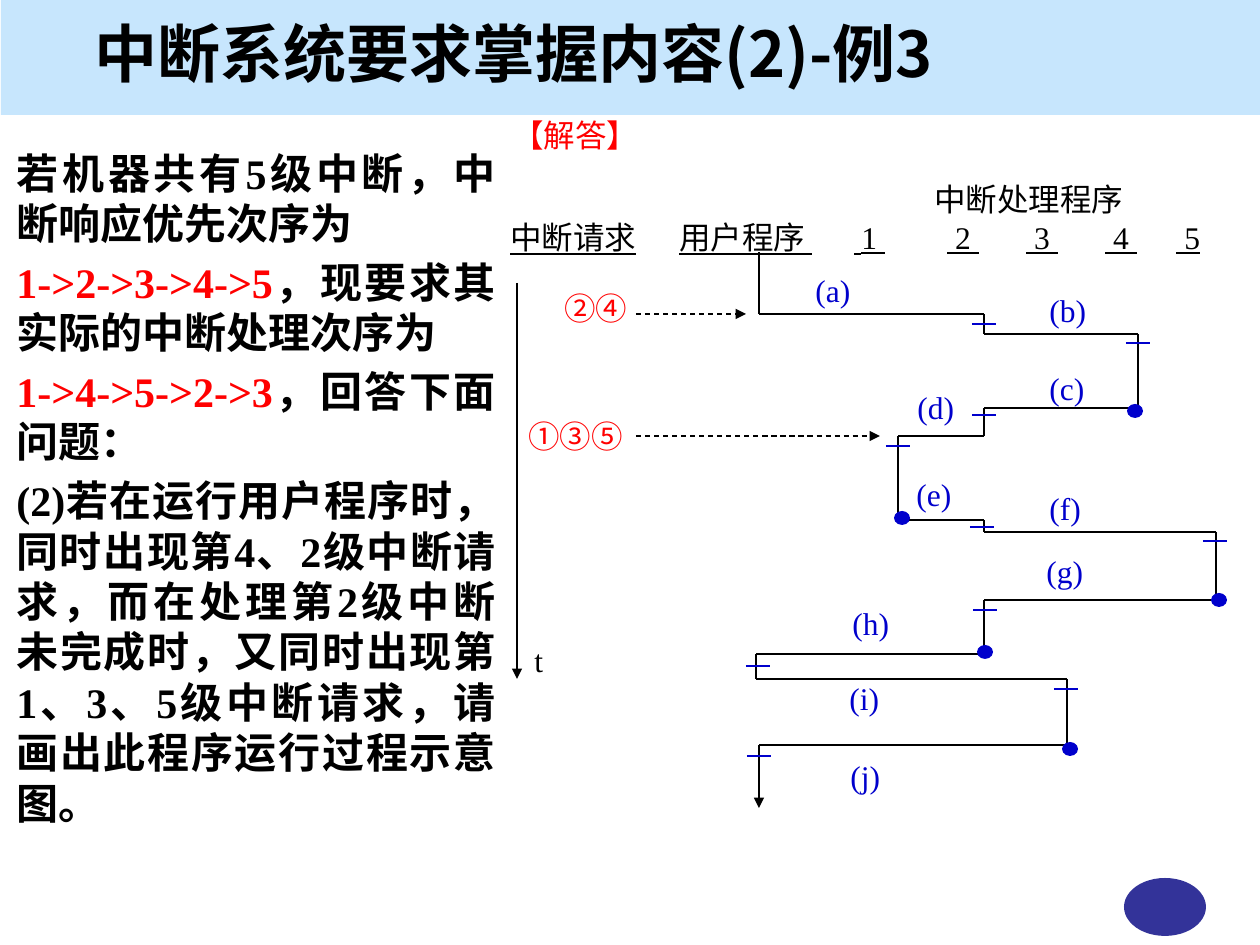
from itertools import pairwise

from lxml import etree
from pptx import Presentation
from pptx import util as u
from pptx.dml.color import RGBColor
from pptx.enum import dml, shapes, text
from pptx.oxml.ns import qn

PX = 914400 / 126
BLACK, RED, BLUE = "000000", "FF0000", "0000CC"
SERIF, SANS = "Times New Roman", "Noto Sans CJK SC"

TITLE = [[("中断系统要求掌握内容(2)-例3", BLACK)]]
QUESTION = [
    [("若机器共有5级中断，中断响应优先次序为", BLACK)],
    [("1->2->3->4->5", RED), ("，现要求其实际的中断处理次序为", BLACK)],
    [("1->4->5->2->3", RED), ("，回答下面问题：", BLACK)],
    [("(2)若在运行用户程序时，同时出现第4、2级中断请求，而在处理第2级中断未完成时，"
      "又同时出现第1、3、5级中断请求，请画出此程序运行过程示意图。", BLACK)],
]
HANDLERS = ("中断处理程序", 935)
COLUMNS = [("中断请求", 511), ("用户程序 ", 680), (" 1 ", 855), (" 2 ", 948),
           (" 3 ", 1027), (" 4 ", 1106), (" 5", 1177)]
RULE_END = 1223
LABELS = [
    ("【解答】", 500, 110, 152, RED, SERIF), ("t", 522, 635, 34, BLACK, SERIF),
    ("②④", 552, 283, 95, RED, SANS), ("①③⑤", 516, 411, 127, RED, SANS),
]
STAGES = [("(a)", 803, 265), ("(b)", 1037, 285), ("(c)", 1037, 363), ("(d)", 905, 382),
          ("(e)", 904, 469), ("(f)", 1037, 483), ("(g)", 1034, 546), ("(h)", 840, 598),
          ("(i)", 837, 673), ("(j)", 838, 751)]
TRACE = [(759, 252), (759, 314), (984, 314), (984, 334), (1138, 334), (1138, 408),
         (984, 408), (984, 436), (898, 436), (898, 520), (984, 520), (984, 532),
         (1216, 532), (1216, 600), (984, 600), (984, 654), (756, 654), (756, 679),
         (1067, 679), (1067, 745), (759, 745)]
ARROWS = [((759, 745), (759, 808), False), ((517, 283), (517, 679), False),
          ((636, 314), (746, 314), True), ((636, 436), (880, 436), True)]
TICKS = [(984, 324), (1138, 343), (984, 415), (898, 446), (982, 527), (1215, 541),
         (985, 610), (758, 666), (1066, 689), (759, 756)]
DOTS = [(1135, 411), (902, 518), (1219, 600), (985, 652), (1070, 749)]


def px(*lengths):
    return [u.Emu(round(length * PX)) for length in lengths]


def rgb(value):
    return RGBColor.from_string(value)


def assign(target, values):
    for key, value in values.items():
        setattr(target, key, value)


def add_filled(slide, kind, box, color):
    shape = slide.shapes.add_shape(kind, *px(*box))
    shape.shadow.inherit = False
    shape.fill.solid()
    shape.fill.fore_color.rgb = rgb(color)
    shape.line.fill.background()


def add_line(slide, start, end, color=BLACK, arrow=False, dashed=False):
    line = slide.shapes.add_connector(shapes.MSO_CONNECTOR.STRAIGHT, *px(*start, *end))
    line.line.width = u.Pt(0.75)
    line.line.color.rgb = rgb(color)
    if dashed:
        line.line.dash_style = dml.MSO_LINE.DASH
    if arrow:
        etree.SubElement(line.line._get_or_add_ln(), qn("a:tailEnd"), type="triangle")
    etree.SubElement(line._element.spPr, qn("a:effectLst"))


def add_text(slide, box, paragraphs, size, font=SERIF, bold=False, wrap=True,
             align=text.PP_ALIGN.LEFT, anchor=text.MSO_ANCHOR.TOP, gap=0, tabs=()):
    frame = slide.shapes.add_textbox(*px(*box)).text_frame
    assign(frame, {"word_wrap": wrap, "vertical_anchor": anchor})
    for index, runs in enumerate(paragraphs):
        paragraph = frame.add_paragraph() if index else frame.paragraphs[0]
        assign(paragraph, {"alignment": align, "line_spacing": u.Pt(size * 1.2),
                           "space_before": u.Pt(gap if index else 0)})
        properties = paragraph._p.get_or_add_pPr()
        properties.set("hangingPunct", "0")
        if tabs:
            stops = etree.SubElement(properties, qn("a:tabLst"))
            for stop in px(*tabs[index]):
                etree.SubElement(stops, qn("a:tab"), pos=str(stop), algn="l")
        for words, color, *underline in runs:
            run = paragraph.add_run()
            run.text = words
            assign(run.font, {"size": u.Pt(size), "bold": bold, "name": font,
                              "underline": bool(underline)})
            run.font.color.rgb = rgb(color)
            etree.SubElement(run._r.get_or_add_rPr(), qn("a:ea"), typeface=SANS)


def add_headings(slide, left=461, inset=13):
    name, name_x = HANDLERS
    row = []
    for heading, _ in COLUMNS:
        row += [("\t", BLACK), (heading, BLACK, True)]
    row.append(("\t", BLACK, True))
    stops = [x for _, x in COLUMNS] + [RULE_END]
    tabs = [[x - left - inset for x in line] for line in ([name_x], stops)]
    add_text(slide, (left, 174, 790, 83), [[("\t" + name, BLACK)], row], 18, tabs=tabs)


def main():
    """Build the interrupt-sequence slide."""
    deck = Presentation()
    deck.slide_width, deck.slide_height = px(1260, 945)
    slide = deck.slides.add_slide(deck.slide_layouts[6])
    add_filled(slide, shapes.MSO_SHAPE.RECTANGLE, (1, 0, 1259, 115), "C7E6FD")
    add_filled(slide, shapes.MSO_SHAPE.OVAL, (1124, 878, 82, 58), "333399")
    add_text(slide, (82, 10, 1081, 84), TITLE, 36, SANS, True,
             anchor=text.MSO_ANCHOR.MIDDLE)
    add_text(slide, (4, 141, 504, 794), QUESTION, 24, bold=True,
             align=text.PP_ALIGN.JUSTIFY, gap=4.8)
    add_headings(slide)
    for start, end in pairwise(TRACE):
        add_line(slide, start, end)
    for start, end, dashed in ARROWS:
        add_line(slide, start, end, arrow=True, dashed=dashed)
    for x, y in TICKS:
        add_line(slide, (x - 12, y), (x + 12, y), BLUE)
    for x, y in DOTS:
        add_filled(slide, shapes.MSO_SHAPE.OVAL, (x - 8, y - 7, 16, 14), BLUE)
    stages = [(name, x, y, 72, BLUE, SERIF) for name, x, y in STAGES]
    for name, x, y, width, color, font in LABELS + stages:
        add_text(slide, (x, y, width, 50), [[(name, color)]], 18, font, wrap=False)
    deck.save("out.pptx")


if __name__ == "__main__":
    main()
